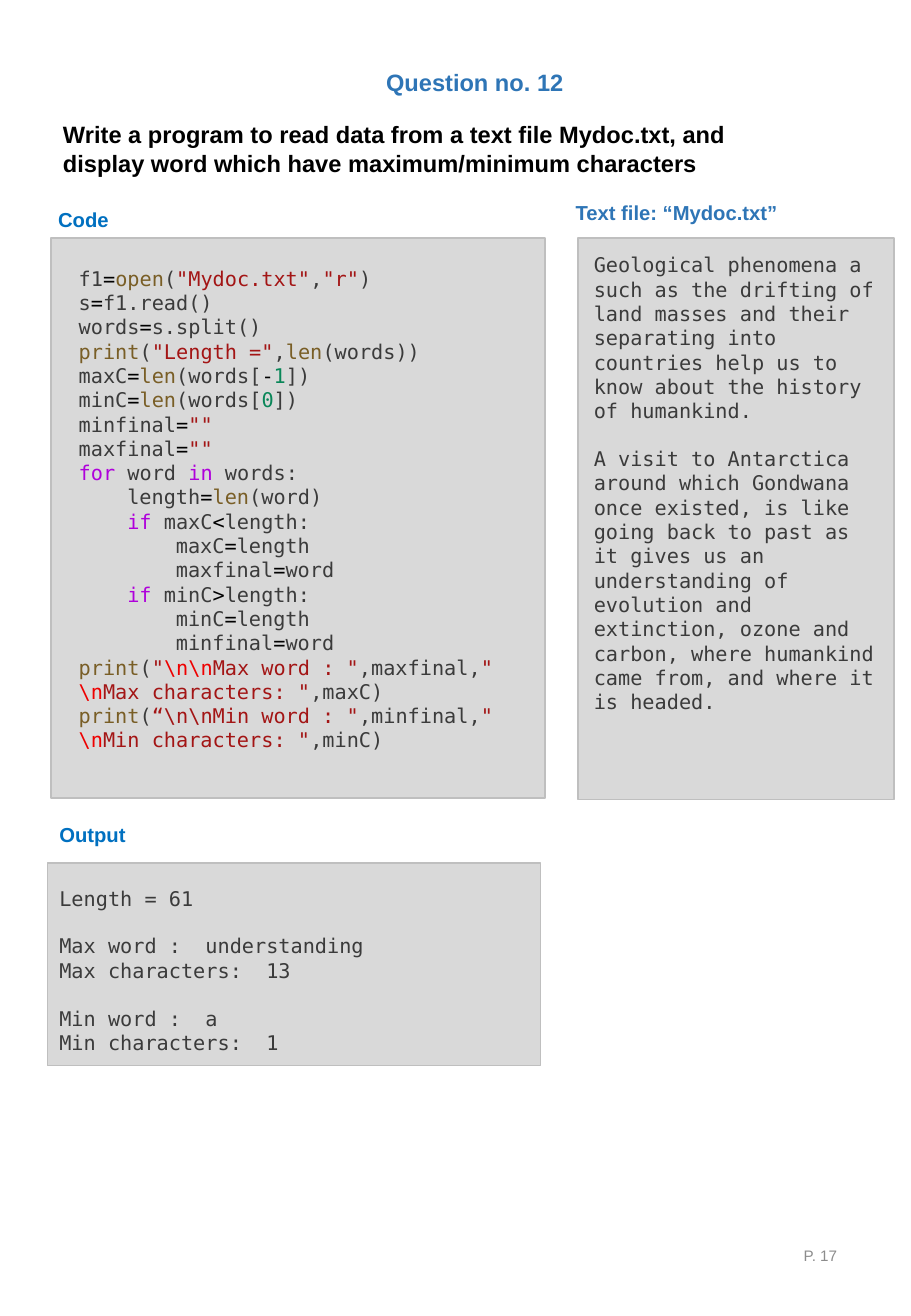
"""Build a one-page programming exercise with its code, text file and output."""
from pptx import Presentation, util as u
from pptx.dml.color import RGBColor
from pptx.enum import shapes, text

COLOURS = {
    "panel": "D9D9D9", "border": "BFBFBF", "page": "8C8C8C", "black": "000000",
    "title": "2E75B6", "heading": "0070C0", "plain": "3B3B3B", "operator": "000000",
    "function": "795E26", "string": "A31515", "number": "098658",
    "keyword": "AF00DB", "escape": "EE0000",
}
SANS, MONO = "Arial", "DejaVu Sans Mono"
INDENT = u.Inches(0.4)
BLANK_LINE = u.Pt(14)


def colour(name):
    return RGBColor.from_string(COLOURS[name])


def add_text(place, paragraphs, font, size, bold=False, wrap=True,
             fit=text.MSO_AUTO_SIZE.SHAPE_TO_FIT_TEXT):
    """Each paragraph is (indent level, space before, [(colour name, wording), ...])."""
    frame = slide.shapes.add_textbox(*map(u.Inches, place)).text_frame
    frame.word_wrap = wrap
    frame.auto_size = fit
    for number, (level, gap, runs) in enumerate(paragraphs):
        paragraph = frame.add_paragraph() if number else frame.paragraphs[0]
        if level:
            paragraph._p.get_or_add_pPr().set("marL", str(level * INDENT))
        if gap:
            paragraph.space_before = gap
        for shade, wording in runs:
            run = paragraph.add_run()
            run.text = wording
            for key, value in {"name": font, "size": u.Pt(size), "bold": bold}.items():
                setattr(run.font, key, value)
            run.font.color.rgb = colour(shade)
    return frame


deck = Presentation()
deck.slide_width, deck.slide_height = u.Inches(7.5), u.Inches(10.83)
slide = deck.slides.add_slide(deck.slide_layouts[6])

for place in [(0.42, 1.96, 4.07, 4.61), (0.39, 7.1, 4.06, 1.67), (4.76, 1.96, 2.6, 4.62)]:
    panel = slide.shapes.add_shape(shapes.MSO_SHAPE.RECTANGLE, *map(u.Inches, place))
    panel.shadow.inherit = False
    panel.fill.solid()
    panel.fill.fore_color.rgb = colour("panel")
    panel.line.color.rgb = colour("border")
    panel.line.width = u.Pt(1)

headings = [
    ((0.42, 0.94, 6.08, 0.57), 14, "black", True,
     "Write a program to read data from a text file Mydoc.txt, and "
     "display word which have maximum/minimum characters"),
    ((3.08, 0.51, 1.67, 0.34), 14, "title", False, "Question no. 12"),
    ((0.38, 1.66, 1.75, 0.3), 12, "heading", True, "Code"),
    ((0.39, 6.72, 1.75, 0.3), 12, "heading", True, "Output"),
    ((4.64, 1.6, 2.43, 0.3), 12, "title", True, "Text file: “Mydoc.txt”"),
]
for place, size, shade, wrap, wording in headings:
    add_text(place, [(0, 0, [(shade, wording)])], SANS, size, True, wrap)

equals = ("operator", "=")
length_call = ("function", "len")
code = [
    (0, [("plain", "f1"), equals, ("function", "open"), ("plain", "("),
         ("string", '"Mydoc.txt"'), ("plain", ","), ("string", '"r"'), ("plain", ")")]),
    (0, [("plain", "s"), equals, ("plain", "f1.read()")]),
    (0, [("plain", "words"), equals, ("plain", "s.split()")]),
    (0, [("function", "print"), ("plain", "("), ("string", '"Length ="'),
         ("plain", ","), length_call, ("plain", "(words))")]),
    (0, [("plain", "maxC"), equals, length_call, ("plain", "(words["),
         ("operator", "-"), ("number", "1"), ("plain", "])")]),
    (0, [("plain", "minC"), equals, length_call, ("plain", "(words["),
         ("number", "0"), ("plain", "])")]),
    (0, [("plain", "minfinal"), equals, ("string", '""')]),
    (0, [("plain", "maxfinal"), equals, ("string", '""')]),
    (0, [("keyword", "for"), ("plain", " word "), ("keyword", "in"), ("plain", " words:")]),
    (1, [("plain", "length"), equals, length_call, ("plain", "(word)")]),
]
for kind, sign in [("max", "<"), ("min", ">")]:
    code += [
        (1, [("keyword", "if "), ("plain", f"{kind}C"), ("operator", sign),
             ("plain", "length:")]),
        (2, [("plain", f"{kind}C"), equals, ("plain", "length")]),
        (2, [("plain", f"{kind}final"), equals, ("plain", "word")]),
    ]
openings = {
    "max": [("string", '"'), ("escape", r"\n\n"), ("string", 'Max word : "')],
    "min": [("string", r'“\n\nMin word : "')],
}
for kind, opening in openings.items():
    code.append((0, [
        ("function", "print"), ("plain", "("), *opening, ("plain", f",{kind}final,"),
        ("string", '" '), ("escape", r"\n"),
        ("string", f'{kind.title()} characters: "'), ("plain", f",{kind}C)")]))
add_text((0.55, 2.14, 4.14, 4.34), [(level, 0, runs) for level, runs in code], MONO, 12)

output = [
    (0, "Length = 61"),
    (BLANK_LINE, "Max word :  understanding"),
    (0, "Max characters:  13"),
    (BLANK_LINE, "Min word :  a"),
    (0, "Min characters:  1"),
]
mydoc = [
    (0, "Geological phenomena a such as the drifting of land masses and their separating "
        "into countries help us to know about the history of humankind."),
    (BLANK_LINE, "A visit to Antarctica around which Gondwana"),
    (0, "once existed, is like going back to past as it gives us an understanding of "
        "evolution and extinction, ozone and carbon, where humankind came from, "
        "and where it is headed."),
]
for place, lines in [((0.39, 7.24, 3.62, 1.51), output), ((4.79, 2.03, 2.52, 3.53), mydoc)]:
    add_text(place, [(0, gap, [("plain", wording)]) for gap, wording in lines], MONO, 12)

page_number = add_text((5.3, 10.04, 1.69, 0.58), [(0, 0, [("page", "P. 17")])], SANS, 9,
                       fit=text.MSO_AUTO_SIZE.NONE)
page_number.vertical_anchor = text.MSO_ANCHOR.MIDDLE
page_number.paragraphs[0].alignment = text.PP_ALIGN.RIGHT

deck.save("out.pptx")
